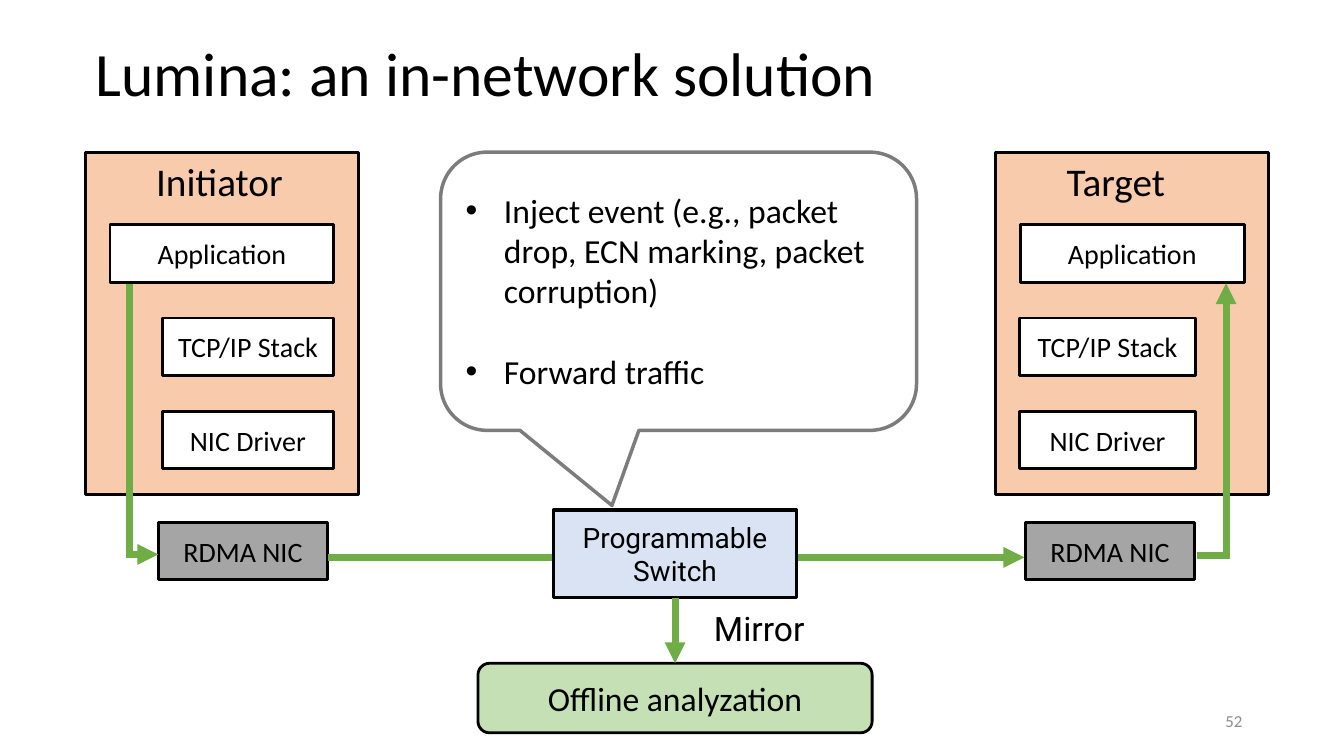
from lxml import etree
from pptx import Presentation
from pptx.dml.color import RGBColor
from pptx.enum.shapes import MSO_CONNECTOR, MSO_SHAPE as SHAPE
from pptx.enum.text import MSO_ANCHOR as ANCHOR, PP_ALIGN as ALIGN
from pptx.oxml.ns import qn
from pptx.util import Emu, Pt

PX = 9144  # EMU per px, 100 px to the inch
W, H = 1333, 750
COLORS = {
    "black": "000000", "white": "FFFFFF", "host": "F8CBAD", "nic": "A5A5A5",
    "switch": "DAE3F3", "offline": "C5E0B4", "flow": "70AD47",
    "callout": "7C7C7C", "number": "8C8C8C",
}

# Content: a host's label and boxes are given as (text, left, width)
TITLE = "Lumina: an in-network solution"
PAGE = "52"
HOSTS = [
    {"left": 85, "label": ("Initiator", 145, 149),
     "layers": [("Application", 109, 222), ("TCP/IP Stack", 161, 170), ("NIC Driver", 161, 170)],
     "nic": ("RDMA NIC", 157, 168)},
    {"left": 987, "label": ("Target", 1048, 130),
     "layers": [("Application", 1012, 222), ("TCP/IP Stack", 1011, 175), ("NIC Driver", 1011, 175)],
     "nic": ("RDMA NIC", 1017, 168)},
]
SWITCH = "Programmable Switch"
ROLES = ["Inject event (e.g., packet drop, ECN marking, packet corruption)", "Forward traffic"]
MIRROR = "Mirror"
OFFLINE = "Offline analyzation"

# Traffic path: x1, y1, x2, y2, arrow at the end
FLOWS = [
    (128, 282, 128, 551, False),
    (125, 550, 157, 550, True),
    (325, 553, 1016, 553, True),
    (1187, 551, 1220, 551, False),
    (1216, 550, 1216, 281, True),
]

HOST_TOP, HOST_W, HOST_H = 151, 271, 340
LAYER_TOP, LAYER_STEP, BOX_H = 223, 92.5, 57
NIC_TOP = 518


def px(*values):
    return [Emu(round(v * PX)) for v in values]


def rgb(name):
    return RGBColor.from_string(COLORS[name])


def add_run(p, text, size, font="Calibri", color="black"):
    r = p.add_run()
    r.text = text
    r.font.size, r.font.name = Pt(size), font
    r.font.color.rgb = rgb(color)


def add_box(x, y, w, h, fill=None, text="", size=20, font="Calibri",
            kind=SHAPE.RECTANGLE, line="black", weight=2):
    sp = s.shapes.add_shape(kind, *px(x, y, w, h))
    sp.shadow.inherit = False
    if fill:
        sp.fill.solid()
        sp.fill.fore_color.rgb = rgb(fill)
    else:
        sp.fill.background()
    sp.line.color.rgb, sp.line.width = rgb(line), Pt(weight)
    if text:
        tf = sp.text_frame
        tf.word_wrap, tf.vertical_anchor = True, ANCHOR.MIDDLE
        tf.paragraphs[0].alignment = ALIGN.CENTER
        add_run(tf.paragraphs[0], text, size, font)
    return sp


def add_text(x, y, w, h, text, size, align=ALIGN.LEFT, anchor=ANCHOR.TOP, wrap=True, **style):
    tf = s.shapes.add_textbox(*px(x, y, w, h)).text_frame
    tf.word_wrap, tf.vertical_anchor = wrap, anchor
    p = tf.paragraphs[0]
    p.alignment = align
    add_run(p, text, size, **style)
    return tf


def add_bullet(p):
    pPr = p._p.get_or_add_pPr()
    pPr.set("marL", str(38 * PX))
    pPr.set("indent", str(-38 * PX))
    etree.SubElement(pPr, qn("a:buFont")).set("typeface", "Arial")
    etree.SubElement(pPr, qn("a:buChar")).set("char", "•")


def add_flow(x1, y1, x2, y2, arrow):
    c = s.shapes.add_connector(MSO_CONNECTOR.STRAIGHT, *px(x1, y1, x2, y2))
    c.line.color.rgb, c.line.width = rgb("flow"), Pt(5)
    if arrow:
        etree.SubElement(c.line._get_or_add_ln(), qn("a:tailEnd")).set("type", "triangle")
    etree.SubElement(c._element.spPr, qn("a:effectLst"))
    return c


prs = Presentation()
prs.slide_width, prs.slide_height = px(W, H)
s = prs.slides.add_slide(prs.slide_layouts[6])

# Title and slide number
tf = add_text(85, 3, 1150, 145, TITLE, 44, anchor=ANCHOR.MIDDLE)
tf.paragraphs[0].line_spacing = 0.9
add_text(942, 695, 300, 40, PAGE, 12, ALIGN.RIGHT, ANCHOR.MIDDLE, color="number")

# Hosts with their software layers and NICs
for host in HOSTS:
    add_box(host["left"], HOST_TOP, HOST_W, HOST_H, "host")
    name, x, w = host["label"]
    add_text(x, HOST_TOP, w, 57, name, 28, wrap=False)
    for i, (name, x, w) in enumerate(host["layers"]):
        add_box(x, LAYER_TOP + i * LAYER_STEP, w, BOX_H, "white", name)
    name, x, w = host["nic"]
    add_box(x, NIC_TOP, w, BOX_H, "nic", name)

# Traffic path, running behind the switch
for flow in FLOWS:
    add_flow(*flow)
switch = add_box(549, 506, 241, 87, "switch", SWITCH, font="Roboto", weight=2.5)

# Callout with the switch's roles
callout = add_box(437, 151, 472, 276, kind=SHAPE.ROUNDED_RECTANGULAR_CALLOUT,
                  line="callout", weight=2.5)
for i, value in enumerate((-0.14, 0.77, 0.167)):
    callout.adjustments[i] = value
tf = add_text(452, 183, 442, 212, ROLES[0], 24)
add_bullet(tf.paragraphs[0])
for role in ROLES[1:]:
    p = tf.add_paragraph()
    add_bullet(p)
    p.space_before = Pt(29)
    add_run(p, role, 24)

# Mirroring to offline analysis
offline = add_box(474, 658, 391, 69, "offline", OFFLINE, 24, kind=SHAPE.ROUNDED_RECTANGLE)
mirror = add_flow(669, 593, 669, 658, True)
mirror.begin_connect(switch, 2)
mirror.end_connect(offline, 0)
add_text(696, 598, 114, 50, MIRROR, 24, ALIGN.CENTER, font="Roboto")

prs.save("out.pptx")
